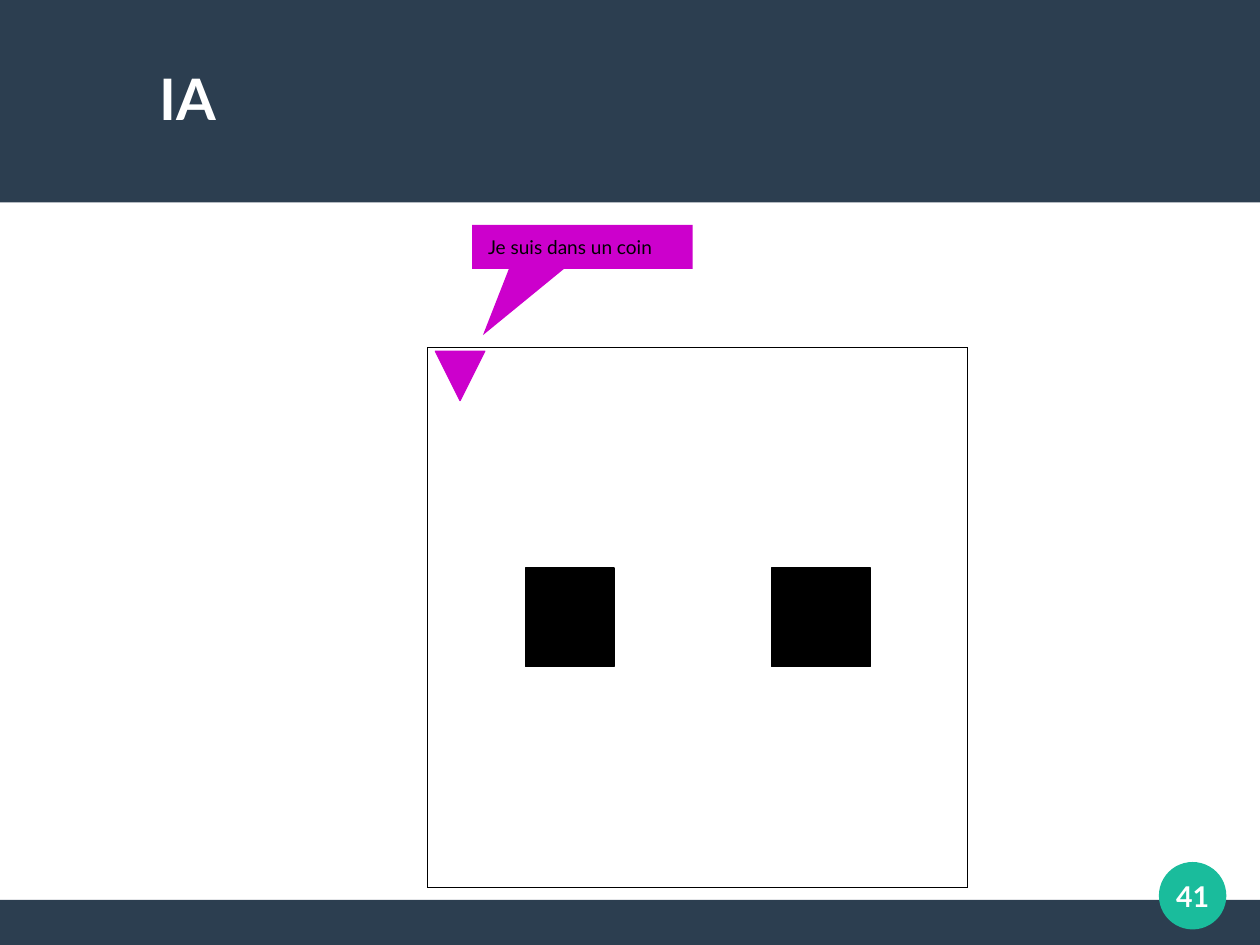
from pptx import Presentation
from pptx.dml.color import RGBColor
from pptx.enum.shapes import MSO_SHAPE as Preset
from pptx.enum.text import MSO_ANCHOR as Anchor, PP_ALIGN as Align
from pptx.util import Pt

NAVY = RGBColor(0x2C, 0x3E, 0x50)
TEAL = RGBColor(0x1A, 0xBC, 0x9C)
BLUE = RGBColor(0x72, 0x9F, 0xCF)
PURPLE = RGBColor(0xCC, 0x00, 0xCC)
BLACK = RGBColor(0, 0, 0)
WHITE = RGBColor(255, 255, 255)

WIDTH, HEIGHT = 793.7, 595.3
HEADER, FOOTER = 127.5, 28.4
BLOCK_TOP, BLOCK_HEIGHT = 357.8, 62.2

HEADING = "IA"
SPEECH = "Je suis dans un coin"
PAGE = "41"

BANDS = [
    (Preset.RECTANGLE, (0, HEIGHT - FOOTER, WIDTH, FOOTER), NAVY, None, []),
    (Preset.RECTANGLE, (0, 0, WIDTH, HEADER), NAVY, None, []),
]
ARENA = [
    (Preset.FRAME, (269.2, 218.8, 340.4, 340.4), BLUE, BLACK, [0]),
    (Preset.RECTANGLE, (331, BLOCK_TOP, 55.8, BLOCK_HEIGHT), BLACK, BLACK, []),
    (Preset.RECTANGLE, (486, BLOCK_TOP, 62.2, BLOCK_HEIGHT), BLACK, BLACK, []),
]
AGENT = (Preset.ISOSCELES_TRIANGLE, (274.2, 221.2, 31.2, 31.2), PURPLE, PURPLE, [0.5])
BUBBLE = (Preset.RECTANGULAR_CALLOUT, (297.4, 141.6, 138.8, 27.8), PURPLE, None, [-0.451, 2.002])
BADGE = (Preset.OVAL, (730, 543, 42.5, 42.5), TEAL, None, [])


def draw(slide, part):
    preset, box, fill, outline, adjustments = part
    shape = slide.shapes.add_shape(preset, *map(Pt, box))
    shape.shadow.inherit = False
    shape.fill.solid()
    shape.fill.fore_color.rgb = fill
    if outline is None:
        shape.line.fill.background()
    else:
        shape.line.color.rgb = outline
        shape.line.width = Pt(0)
    for index, value in enumerate(adjustments):
        shape.adjustments[index] = value
    return shape


def write(shape, words, size, color, bold, align, indent=0):
    frame = shape.text_frame
    frame.text = words
    layout = {
        "margin_left": Pt(indent), "margin_right": 0, "margin_top": 0,
        "margin_bottom": 0, "vertical_anchor": Anchor.MIDDLE, "word_wrap": True,
    }
    for name, value in layout.items():
        setattr(frame, name, value)
    paragraph = frame.paragraphs[0]
    paragraph.alignment = align
    font = paragraph.runs[0].font
    for name, value in {"name": "Lato", "size": Pt(size), "bold": bold}.items():
        setattr(font, name, value)
    font.color.rgb = color


def main():
    deck = Presentation()
    deck.slide_width, deck.slide_height = Pt(WIDTH), Pt(HEIGHT)
    slide = deck.slides.add_slide(deck.slide_layouts[5])

    heading = slide.shapes.title
    place = {"left": 28.3, "top": 23.7, "width": 737, "height": 75.6}
    for name, value in place.items():
        setattr(heading, name, Pt(value))
    write(heading, HEADING, 36, WHITE, True, Align.LEFT, indent=72)

    for band in BANDS:
        heading.element.addprevious(draw(slide, band).element)
    for part in ARENA:
        draw(slide, part)
    draw(slide, AGENT).rotation = 180
    write(draw(slide, BUBBLE), SPEECH, 12, BLACK, False, Align.LEFT, indent=10)
    write(draw(slide, BADGE), PAGE, 18, WHITE, True, Align.CENTER)

    deck.save("out.pptx")


if __name__ == "__main__":
    main()
